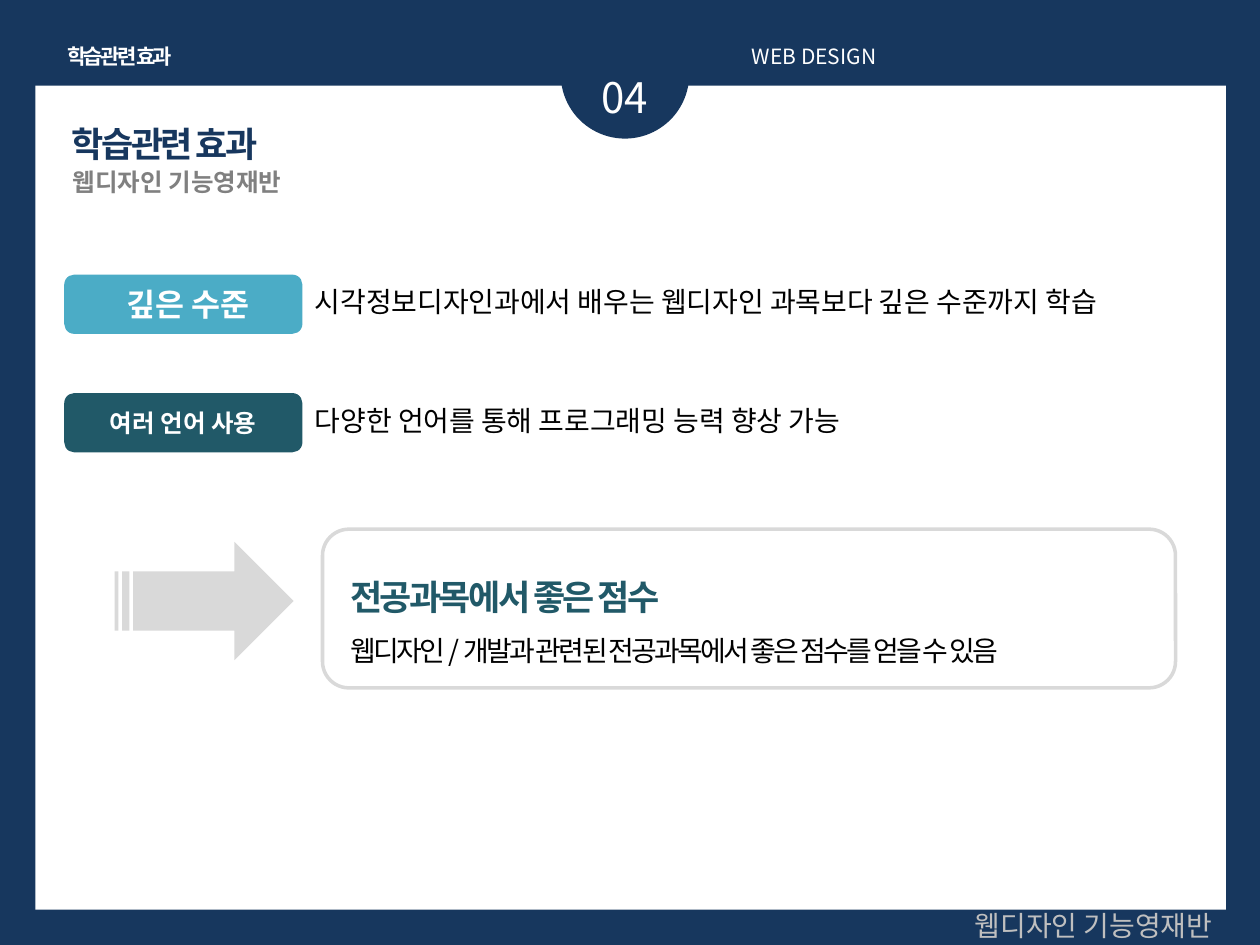
from lxml.etree import SubElement
from pptx import Presentation
from pptx.dml.color import RGBColor
from pptx.enum.shapes import MSO_SHAPE
from pptx.enum.text import MSO_ANCHOR, MSO_AUTO_SIZE, PP_ALIGN
from pptx.oxml.ns import qn
from pptx.util import Inches, Pt

KOREAN = "Noto Sans CJK KR"
NAVY, TEAL, SKY = "17375E", "215968", "4BACC6"
WHITE, BLACK, SILVER = "FFFFFF", "000000", "D9D9D9"


def color(value):
    """Turn a hex string into a colour."""
    return RGBColor.from_string(value)


def add_block(page, kind, left, top, width, height, fill=None, line=None):
    """Add a flat preset shape with an optional fill and outline."""
    shape = page.shapes.add_shape(
        kind, Inches(left), Inches(top), Inches(width), Inches(height))
    shape.shadow.inherit = False
    if fill:
        shape.fill.solid()
        shape.fill.fore_color.rgb = color(fill)
    else:
        shape.fill.background()
    if line:
        shape.line.color.rgb = color(line)
        shape.line.width = Pt(2)
    else:
        shape.line.fill.background()


def format_para(para, size, fill, bold=False, align=PP_ALIGN.LEFT, tight=False, latin=KOREAN):
    """Format every run of a paragraph."""
    para.alignment = align
    for span in para.runs:
        span.font.size = Pt(size)
        span.font.bold = bold
        span.font.color.rgb = color(fill)
        span.font.name = latin
        properties = span.font._element
        SubElement(properties, qn("a:ea")).set("typeface", KOREAN)
        if tight:
            properties.set("spc", "-150")


def prepare_frame(box, text, wrap=True):
    """Set the text of a box and anchor it at the top."""
    frame = box.text_frame
    frame.text = text
    frame.word_wrap = wrap
    frame.auto_size = MSO_AUTO_SIZE.SHAPE_TO_FIT_TEXT
    frame.vertical_anchor = MSO_ANCHOR.TOP
    return frame


def add_label(page, text, left, top, width, height, size, fill, wrap=True, **style):
    """Add a one-line text box."""
    box = page.shapes.add_textbox(
        Inches(left), Inches(top), Inches(width), Inches(height))
    frame = prepare_frame(box, text, wrap)
    format_para(frame.paragraphs[0], size, fill, **style)


def place_title(page, text):
    """Move the title placeholder above the white panel and format it."""
    title = page.shapes.title
    title.left, title.top = Inches(0.47), Inches(0.92)
    title.width, title.height = Inches(1.89), Inches(0.44)
    frame = prepare_frame(title, text)
    format_para(frame.paragraphs[0], 20, NAVY, bold=True, tight=True, latin="Arial")
    page.shapes._spTree.append(title._element)


def add_frame(page):
    """Add the white panel, the number badge and the header and footer."""
    add_block(page, MSO_SHAPE.RECTANGLE, 0.28, 0.68, 9.45, 6.54, WHITE)
    add_block(page, MSO_SHAPE.OVAL, 4.45, 0.08, 1.02, 1.02, NAVY)
    add_label(page, "04", 4.37, 0.52, 1.18, 0.5, 24, WHITE, align=PP_ALIGN.CENTER)
    add_label(page, "학습관련 효과", 0.39, 0.3, 1.12, 0.3, 12, WHITE, wrap=False,
              bold=True, align=PP_ALIGN.CENTER, tight=True)
    add_label(page, "WEB DESIGN", 5.87, 0.3, 3.94, 0.3, 12, WHITE, align=PP_ALIGN.JUSTIFY)
    add_label(page, "웹디자인 기능영재반", 7.36, 7.16, 2.36, 0.37, 16, "BFBFBF",
              align=PP_ALIGN.RIGHT)


def add_effect(page, top, fill, name, name_box, size, text):
    """Add a coloured tag with its name and the explanation beside it."""
    left, name_top, height = name_box
    add_block(page, MSO_SHAPE.ROUNDED_RECTANGLE, 0.51, top, 1.89, 0.47, fill)
    add_label(page, name, left, name_top, 1.65, height, size, WHITE,
              bold=True, align=PP_ALIGN.CENTER)
    add_label(page, text, 2.4, top + 0.03, 7.24, 0.37, 16, BLACK)


def add_result(page, heading, text):
    """Add the arrow and the outlined box with the outcome."""
    add_block(page, MSO_SHAPE.STRIPED_RIGHT_ARROW, 0.91, 4.3, 1.42, 0.94, SILVER)
    add_block(page, MSO_SHAPE.ROUNDED_RECTANGLE, 2.56, 4.2, 6.77, 1.26, line=SILVER)
    box = page.shapes.add_textbox(Inches(2.68), Inches(4.35), Inches(6.54), Inches(0.96))
    first, second = prepare_frame(box, f"{heading}\n{text}").paragraphs
    format_para(first, 20, TEAL, bold=True, tight=True)
    format_para(second, 16, BLACK, tight=True)
    first.line_spacing = second.line_spacing = 1.5


def main():
    """Build the slide and save it."""
    deck = Presentation()
    deck.slide_width, deck.slide_height = Inches(10), Inches(7.5)
    page = deck.slides.add_slide(deck.slide_layouts.get_by_name("Title Only"))
    page.background.fill.solid()
    page.background.fill.fore_color.rgb = color(NAVY)
    add_frame(page)
    place_title(page, "학습관련 효과")
    add_label(page, "웹디자인 기능영재반", 0.48, 1.28, 3.54, 0.34, 14, "808080", bold=True)
    add_effect(page, 2.18, SKY, "깊은 수준", (0.67, 2.21, 0.4), 18,
               "시각정보디자인과에서 배우는 웹디자인 과목보다 깊은 수준까지 학습")
    add_effect(page, 3.12, TEAL, "여러 언어 사용", (0.63, 3.19, 0.34), 14,
               "다양한 언어를 통해 프로그래밍 능력 향상 가능")
    add_result(page, "전공과목에서 좋은 점수",
               "웹디자인 / 개발과 관련된 전공과목에서 좋은 점수를 얻을 수 있음")
    deck.save("out.pptx")


if __name__ == "__main__":
    main()
